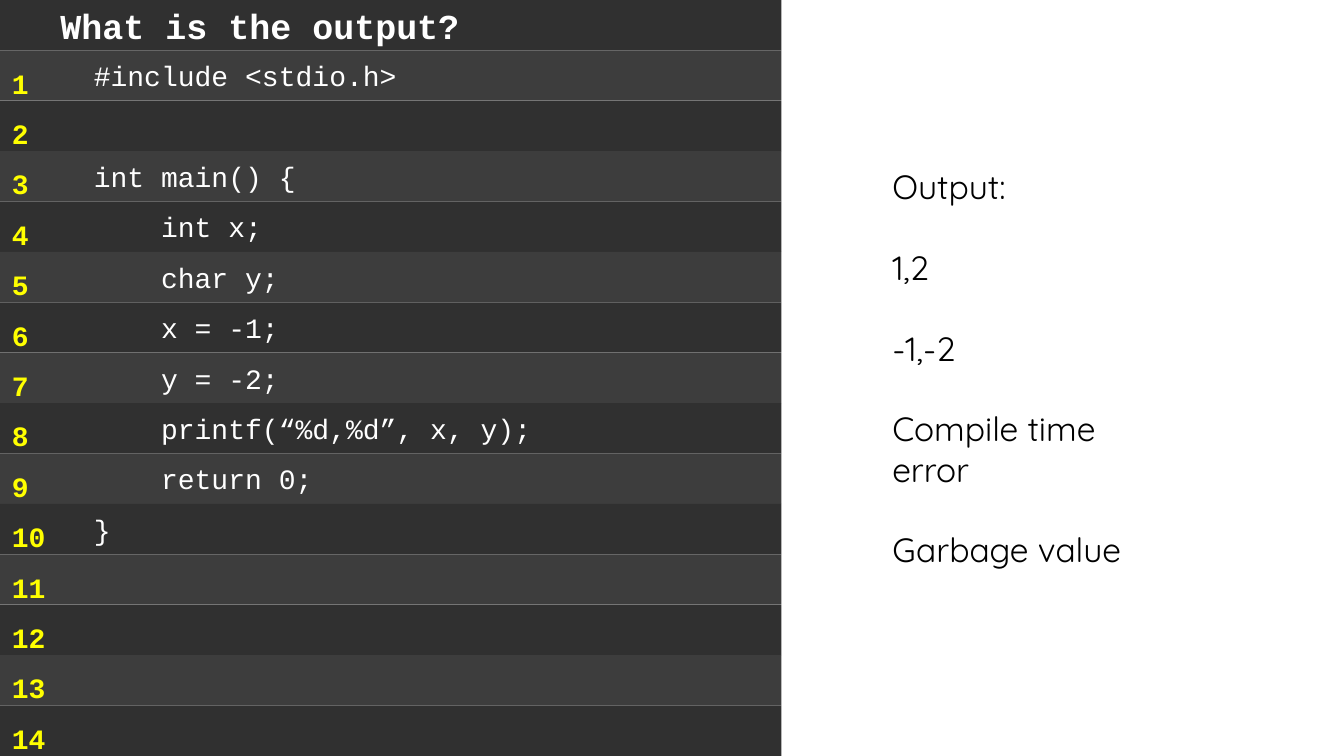
"""Build a quiz slide with a numbered code listing and its possible answers."""
from dataclasses import dataclass

from lxml import etree
from pptx import Presentation
from pptx.dml.color import RGBColor
from pptx.enum.shapes import MSO_SHAPE
from pptx.enum.text import MSO_ANCHOR, MSO_AUTO_SIZE, PP_ALIGN
from pptx.oxml.ns import qn
from pptx.util import Inches, Pt

RECT = MSO_SHAPE.RECTANGLE
TOP, MIDDLE = MSO_ANCHOR.TOP, MSO_ANCHOR.MIDDLE
LEFT = PP_ALIGN.LEFT
FIXED = MSO_AUTO_SIZE.NONE


@dataclass(frozen=True)
class Theme:
    mono: str = "Courier New"
    sans: str = "Quicksand"
    dark: str = "303030"
    light: str = "3D3D3D"
    white: str = "FFFFFF"
    black: str = "000000"
    yellow: str = "FFFF00"
    head: float = 25
    code: float = 20
    body: float = 24
    gap: float = 28.8


class Quiz:
    def __init__(self, slide, theme):
        self.slide = slide
        self.theme = theme

    def place(self, shape, left, top, width, height):
        shape.left, shape.top = Inches(left), Inches(top)
        shape.width, shape.height = Inches(width), Inches(height)

    def paint(self, shape, color):
        shape.fill.solid()
        shape.fill.fore_color.rgb = RGBColor.from_string(color)

    def frame(self, shape, anchor, inset=0.1):
        frame = shape.text_frame
        frame.word_wrap = True
        frame.auto_size = FIXED
        frame.vertical_anchor = anchor
        frame.margin_left = Inches(inset)
        return frame

    def style(self, para, face, size, color, bold=False):
        para.alignment = LEFT
        font = para.font
        font.name, font.size, font.bold = face, Pt(size), bold
        font.color.rgb = RGBColor.from_string(color)

    def title(self, text, width, height):
        look = self.theme
        shape = self.slide.shapes.title
        self.place(shape, 0, 0, width, height)
        self.paint(shape, look.dark)
        frame = self.frame(shape, MIDDLE, 0.6)
        frame.text = text
        self.style(frame.paragraphs[0], look.mono, look.head, look.white, True)

    def row(self, text, top, width, height, color):
        look = self.theme
        shape = self.slide.shapes.add_shape(
            RECT, 0, Inches(top), Inches(width), Inches(height))
        shape.shadow.inherit = False
        shape.line.fill.background()
        self.paint(shape, color)
        if text:
            frame = self.frame(shape, MIDDLE, 0.93)
            frame.text = text
            self.style(frame.paragraphs[0], look.mono, look.code, look.white)

    def numbers(self, count):
        look = self.theme
        box = self.slide.shapes.add_textbox(
            Inches(0.02), Inches(0.44), Inches(0.56), Inches(7.13))
        frame = self.frame(box, TOP)
        frame.text = "\n".join(str(n) for n in range(1, count + 1))
        for para in frame.paragraphs:
            para.line_spacing = 1.5
            self.style(para, look.mono, look.code, look.yellow, True)

    def answers(self, items):
        look = self.theme
        shape = self.slide.placeholders[1]
        self.place(shape, 8.75, 1.6, 2.94, 4.14)
        frame = self.frame(shape, TOP)
        frame.text = "\n".join(items)
        for i, para in enumerate(frame.paragraphs):
            para.space_before = Pt(look.gap if i else 0)
            props = para._p.get_or_add_pPr()
            props.set("marL", "0")
            props.set("indent", "0")
            etree.SubElement(props, qn("a:buNone"))
            self.style(para, look.sans, look.body, look.black)


CODE = """#include <stdio.h>

int main() {
    int x;
    char y;
    x = -1;
    y = -2;
    printf(“%d,%d”, x, y);
    return 0;
}"""
ANSWERS = ["Output:", "1,2", "-1,-2", "Compile time error", "Garbage value"]
ROWS, WIDTH, STEP = 14, 7.75, 0.5


def main():
    deck = Presentation()
    deck.slide_width, deck.slide_height = Inches(13.33), Inches(7.5)
    theme = Theme()
    quiz = Quiz(deck.slides.add_slide(deck.slide_layouts[1]), theme)
    quiz.title("What is the output?", WIDTH, STEP)
    lines = CODE.split("\n")
    for i in range(ROWS):
        text = lines[i] if i < len(lines) else ""
        color = theme.dark if i % 2 else theme.light
        quiz.row(text, STEP * (i + 1), WIDTH, STEP, color)
    quiz.numbers(ROWS)
    quiz.answers(ANSWERS)
    deck.save("out.pptx")


if __name__ == "__main__":
    main()
